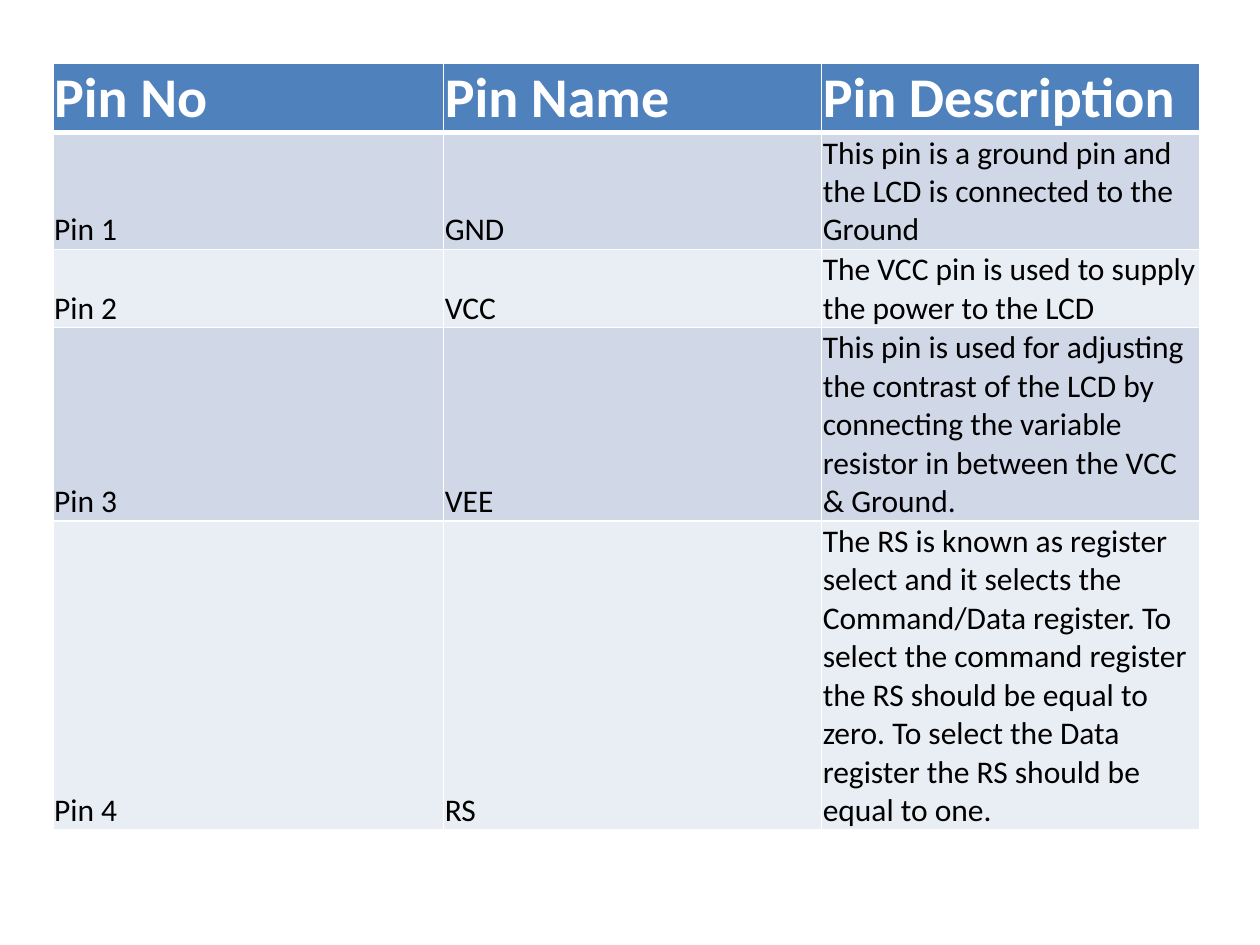
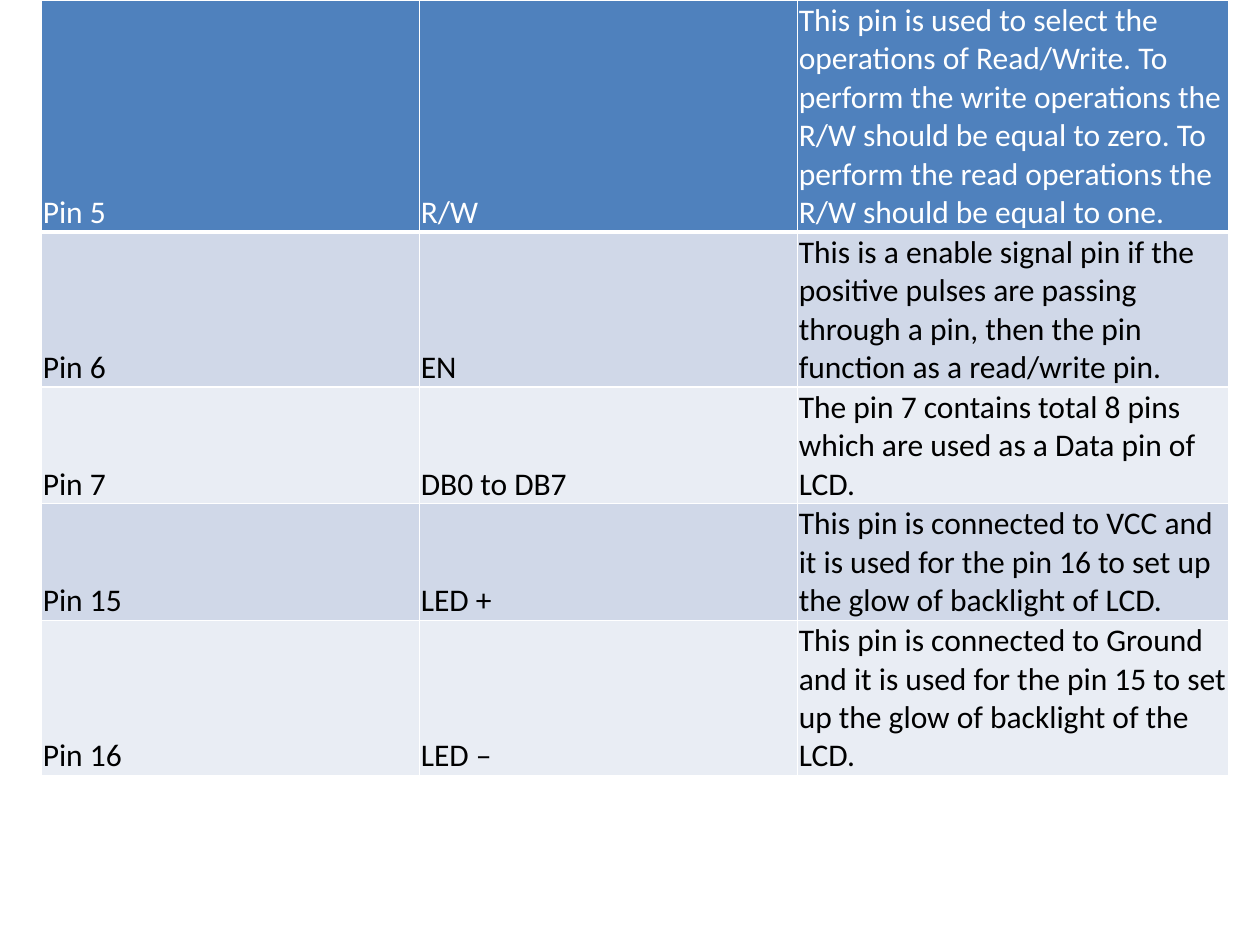
from lxml.etree import SubElement
from pptx import Presentation
from pptx.dml.color import RGBColor as Rgb
from pptx.enum.text import MSO_ANCHOR as Anchor
from pptx.oxml.ns import qn
from pptx.util import Inches, Pt

COLORS = {"header": "4F81BD", "band_dark": "D0D8E8", "band_light": "E9EDF4",
          "white": "FFFFFF", "black": "000000"}
FONT = "Calibri"
LINE_HEIGHT = 0.3  # inches taken by one line of body text
BORDERS = {"lnL": 1, "lnR": 1, "lnT": 1, "lnB": 3}  # header borders in points

# Each row: pin number, pin name, description, height in body lines
FIRST_PINS = [
    ("Pin No", "Pin Name", "Pin Description", 1.7),
    ("Pin 1", "GND",
     "This pin is a ground pin and the LCD is connected to the Ground", 3),
    ("Pin 2", "VCC", "The VCC pin is used to supply the power to the LCD", 2),
    ("Pin 3", "VEE",
     "This pin is used for adjusting the contrast of the LCD by connecting "
     "the variable resistor in between the VCC & Ground.", 5),
    ("Pin 4", "RS",
     "The RS is known as register select and it selects the Command/Data "
     "register. To select the command register the RS should be equal to "
     "zero. To select the Data register the RS should be equal to one.", 8),
]
LATER_PINS = [
    ("Pin 5", "R/W",
     "This pin is used to select the operations of Read/Write. To perform "
     "the write operations the R/W should be equal to zero. To perform the "
     "read operations the R/W should be equal to one.", 6),
    ("Pin 6", "EN",
     "This is a enable signal pin if the positive pulses are passing through "
     "a pin, then the pin function as a read/write pin.", 4),
    ("Pin 7", "DB0 to DB7",
     "The pin 7 contains total 8 pins which are used as a Data pin of LCD.", 3),
    ("Pin 15", "LED +",
     "This pin is connected to VCC and it is used for the pin 16 to set up "
     "the glow of backlight of LCD.", 3),
    ("Pin 16", "LED –",
     "This pin is connected to Ground and it is used for the pin 15 to set "
     "up the glow of backlight of the LCD.", 4),
]


def write(cell, text, size=18, color="black", bold=False):
    """Put formatted text at the bottom of a tightly padded cell."""
    cell.margin_left = cell.margin_right = cell.margin_top = Inches(0.01)
    cell.margin_bottom = 0
    cell.vertical_anchor = Anchor.BOTTOM
    run = cell.text_frame.paragraphs[0].add_run()
    run.text = text
    run.font.name, run.font.size, run.font.bold = FONT, Pt(size), bold
    run.font.color.rgb = Rgb.from_string(COLORS[color])


def fill_cell(cell, color):
    cell.fill.solid()
    cell.fill.fore_color.rgb = Rgb.from_string(COLORS[color])


def outline_header(cell):
    """White borders, with a heavier rule below; they precede the fill."""
    properties = cell._tc.get_or_add_tcPr()
    for position, (side, width) in enumerate(BORDERS.items()):
        border = SubElement(properties, qn(f"a:{side}"), w=str(Pt(width)))
        solid = SubElement(border, qn("a:solidFill"))
        SubElement(solid, qn("a:srgbClr"), val=COLORS["white"])
        properties.insert(position, border)


def add_pin_slide(deck, pins, left, top, widths, header_format):
    slide = deck.slides.add_slide(deck.slide_layouts[6])
    heights = [Inches(lines * LINE_HEIGHT) for *_, lines in pins]
    pin_table = slide.shapes.add_table(
        len(pins), len(widths), Inches(left), Inches(top),
        Inches(sum(widths)), sum(heights)).table
    for column, width in zip(pin_table.columns, widths):
        column.width = Inches(width)

    # Header row, then alternating bands
    for index, (*texts, _) in enumerate(pins):
        pin_table.rows[index].height = heights[index]
        band = "band_dark" if index % 2 else "band_light"
        for cell, text in zip(pin_table.rows[index].cells, texts):
            if index == 0:
                write(cell, text, color="white", **header_format)
                fill_cell(cell, "header")
                outline_header(cell)
            else:
                write(cell, text)
                fill_cell(cell, band)


def main():
    deck = Presentation()
    deck.slide_width, deck.slide_height = Inches(10), Inches(7.5)
    add_pin_slide(deck, FIRST_PINS, 0.42, 0.5, (3.1, 3, 3),
                  {"size": 32, "bold": True})
    add_pin_slide(deck, LATER_PINS, 0.33, 0, (3, 3, 3.42), {})
    deck.save("out.pptx")


if __name__ == "__main__":
    main()
